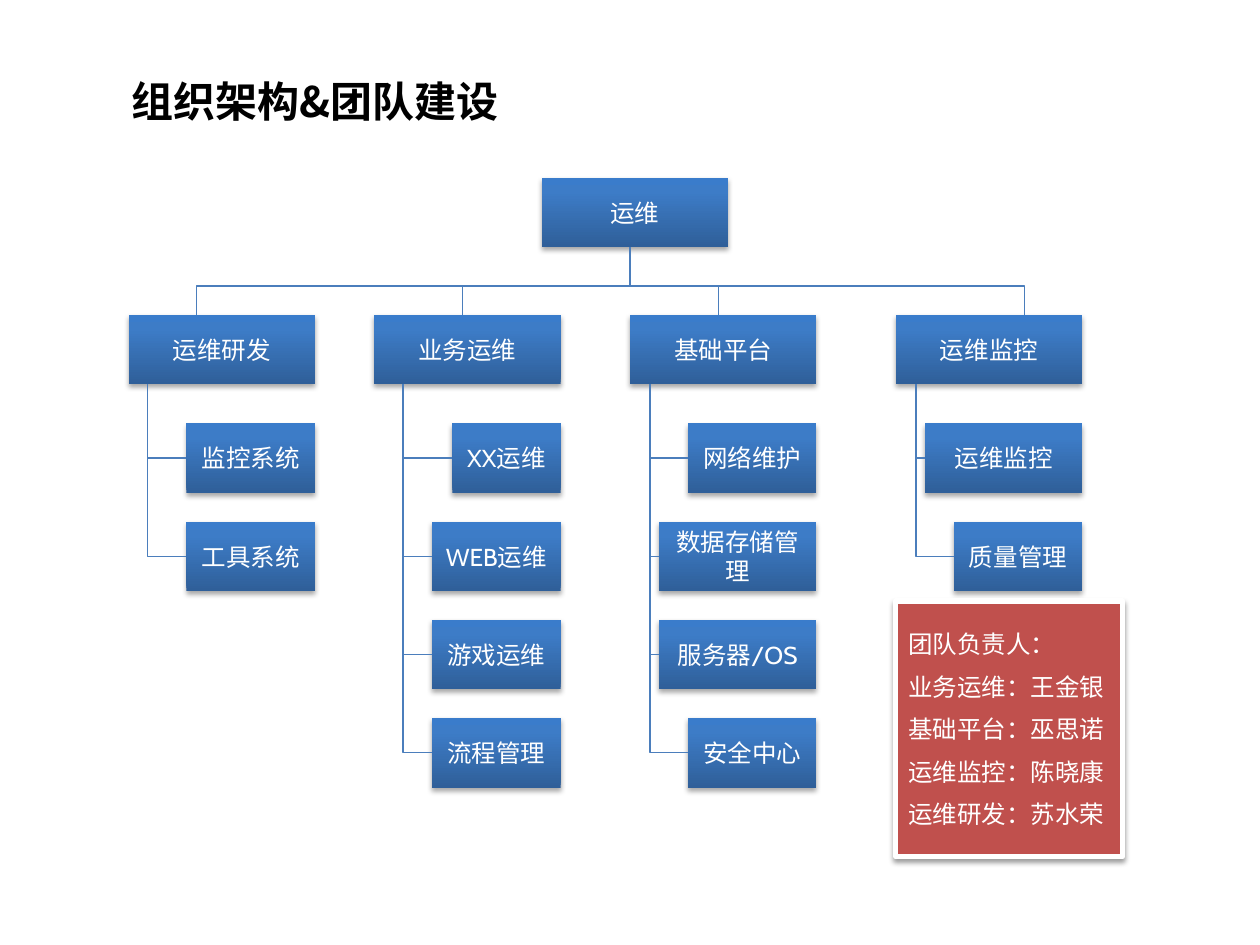
"""Build the operations organisation chart slide."""
from copy import deepcopy

from lxml import etree
from pptx import Presentation
from pptx.dml.color import RGBColor
from pptx.enum.shapes import MSO_CONNECTOR, MSO_SHAPE
from pptx.enum.text import MSO_ANCHOR, PP_ALIGN
from pptx.oxml.ns import qn
from pptx.util import Inches, Pt

PROCESS = MSO_SHAPE.FLOWCHART_PROCESS
STRAIGHT, ELBOW = MSO_CONNECTOR.STRAIGHT, MSO_CONNECTOR.ELBOW
LEFT, CENTER = PP_ALIGN.LEFT, PP_ALIGN.CENTER
MIDDLE = MSO_ANCHOR.MIDDLE

BOX_W, BOX_H = 1.48, 0.55
ROOT_TOP, BUS_Y, HEAD_TOP = 1.41, 2.27, 2.5
CHILD_TOP, ROW_STEP = 3.36, 0.78
ROOT_LEFT, ROOT_X = 4.3, 5

TEAMS = [
    ("运维研发", 1.02, 1.56, 1.17, [("监控系统", 1.02), ("工具系统", 1.02)]),
    ("业务运维", 2.97, 3.67, 3.2, [("XX运维", 0.86), ("WEB运维", 1.02),
                               ("游戏运维", 1.02), ("流程管理", 1.02)]),
    ("基础平台", 5, 5.7, 5.16, [("网络维护", 1.02), ("数据存储管理", 1.25),
                            ("服务器/OS", 1.25), ("安全中心", 1.02)]),
    ("运维监控", 7.11, 8.13, 7.27, [("运维监控", 1.25), ("质量管理", 1.02)]),
]
LEADERS = ["团队负责人：", "业务运维：王金银", "基础平台：巫思诺",
           "运维监控：陈晓康", "运维研发：苏水荣"]


def rgb(value):
    """Turn a hex string into a colour."""
    return RGBColor.from_string(value)


def write(tf, lines, size=14, font="Cabin", color="FFFFFF", bold=False,
          align=CENTER, gap=0):
    """Fill a text frame with one formatted paragraph per line."""
    tf.word_wrap = True
    tf.vertical_anchor = MIDDLE
    for i, line in enumerate(lines):
        p = tf.add_paragraph() if i else tf.paragraphs[0]
        p.alignment = align
        p.space_before = Pt(gap if i else 0)
        r = p.add_run()
        r.text = line
        r.font.size, r.font.bold, r.font.name = Pt(size), bold, font
        r.font.color.rgb = rgb(color)
        etree.SubElement(r.font._element, qn("a:ea"), typeface="Noto Sans CJK SC")


class ChartSlide:
    """Hold the chart style and the slide being drawn."""

    line_color = "4B7EBC"
    stops = [(0, "2F5F99"), (0.8, "3D7CC7"), (1, "3A7CCB")]
    note_fill = "C0504D"

    def __init__(self, prs):
        """Add a title-only slide."""
        self.s = prs.slides.add_slide(prs.slide_layouts[5])

    def title(self, text, x, y, w, h):
        """Place and format the title placeholder."""
        sp = self.s.shapes.title
        sp.left, sp.top, sp.width, sp.height = map(Inches, (x, y, w, h))
        write(sp.text_frame, [text], size=24, font="Noto Sans CJK SC",
              color="000000", bold=True, align=LEFT)

    def panel(self, x, y, w, h, opacity):
        """Add a process shape with a soft shadow below it."""
        sp = self.s.shapes.add_shape(PROCESS, *map(Inches, (x, y, w, h)))
        sp.shadow.inherit = False
        effects = sp._element.spPr.find(qn("a:effectLst"))
        shadow = etree.SubElement(effects, qn("a:outerShdw"), blurRad=str(Pt(3.1)),
                                  dist=str(Pt(1.8)), dir="5400000", rotWithShape="0")
        black = etree.SubElement(shadow, qn("a:srgbClr"), val="000000")
        etree.SubElement(black, qn("a:alpha"), val=str(opacity * 1000))
        return sp

    def box(self, text, x, y, w=BOX_W):
        """Add a blue gradient box with centred text."""
        sp = self.panel(x, y, w, BOX_H, 35)
        sp.line.fill.background()
        sp.fill.gradient()
        sp.fill.gradient_angle = 90
        gs_list = sp._element.spPr.find(".//" + qn("a:gsLst"))
        gs_list.insert(1, deepcopy(gs_list[0]))
        for stop, (position, color) in zip(sp.fill.gradient_stops, self.stops):
            stop.position = position
            stop.color.rgb = rgb(color)
        write(sp.text_frame, [text])

    def note(self, lines, x, y, w, h):
        """Add the red panel with a white border."""
        sp = self.panel(x, y, w, h, 38)
        sp.fill.solid()
        sp.fill.fore_color.rgb = rgb(self.note_fill)
        sp.line.color.rgb = rgb("FFFFFF")
        sp.line.width = Pt(3)
        write(sp.text_frame, lines, font="Noto Sans CJK SC", align=LEFT, gap=7.5)

    def line(self, x1, y1, x2, y2, kind=STRAIGHT):
        """Add a thin connector."""
        c = self.s.shapes.add_connector(kind, *map(Inches, (x1, y1, x2, y2)))
        c.line.color.rgb = rgb(self.line_color)
        c.line.width = Pt(0.75)
        etree.SubElement(c._element.spPr, qn("a:effectLst"))
        return c

    def elbow(self, x1, y1, x2, y2):
        """Add a one-bend connector that runs sideways, then vertically."""
        c = self.line(x1, y1, x2, y2, ELBOW)
        c._element.spPr.find(qn("a:prstGeom")).set("prst", "bentConnector2")

    def team(self, name, left, stub_x, trunk_x, children):
        """Draw a team box with its right-aligned children."""
        self.box(name, left, HEAD_TOP)
        if name in (TEAMS[0][0], TEAMS[-1][0]):
            self.elbow(ROOT_X, BUS_Y, stub_x, HEAD_TOP)
        else:
            self.line(stub_x, BUS_Y, stub_x, HEAD_TOP)
        for i, (text, width) in enumerate(children):
            x, y = left + BOX_W - width, CHILD_TOP + i * ROW_STEP
            self.box(text, x, y, width)
            self.elbow(x, y + BOX_H / 2, trunk_x, HEAD_TOP + BOX_H)


def main():
    """Build and save the presentation."""
    prs = Presentation()
    prs.slide_width, prs.slide_height = Inches(10), Inches(7.5)
    chart = ChartSlide(prs)
    chart.title("组织架构&团队建设", 0.94, 0.55, 3.52, 0.5)
    chart.box("运维", ROOT_LEFT, ROOT_TOP)
    chart.line(ROOT_X, ROOT_TOP + BOX_H, ROOT_X, BUS_Y)
    for team in TEAMS:
        chart.team(*team)
    chart.note(LEADERS, 7.11, 4.77, 1.8, 2.03)
    prs.save("out.pptx")


if __name__ == "__main__":
    main()
